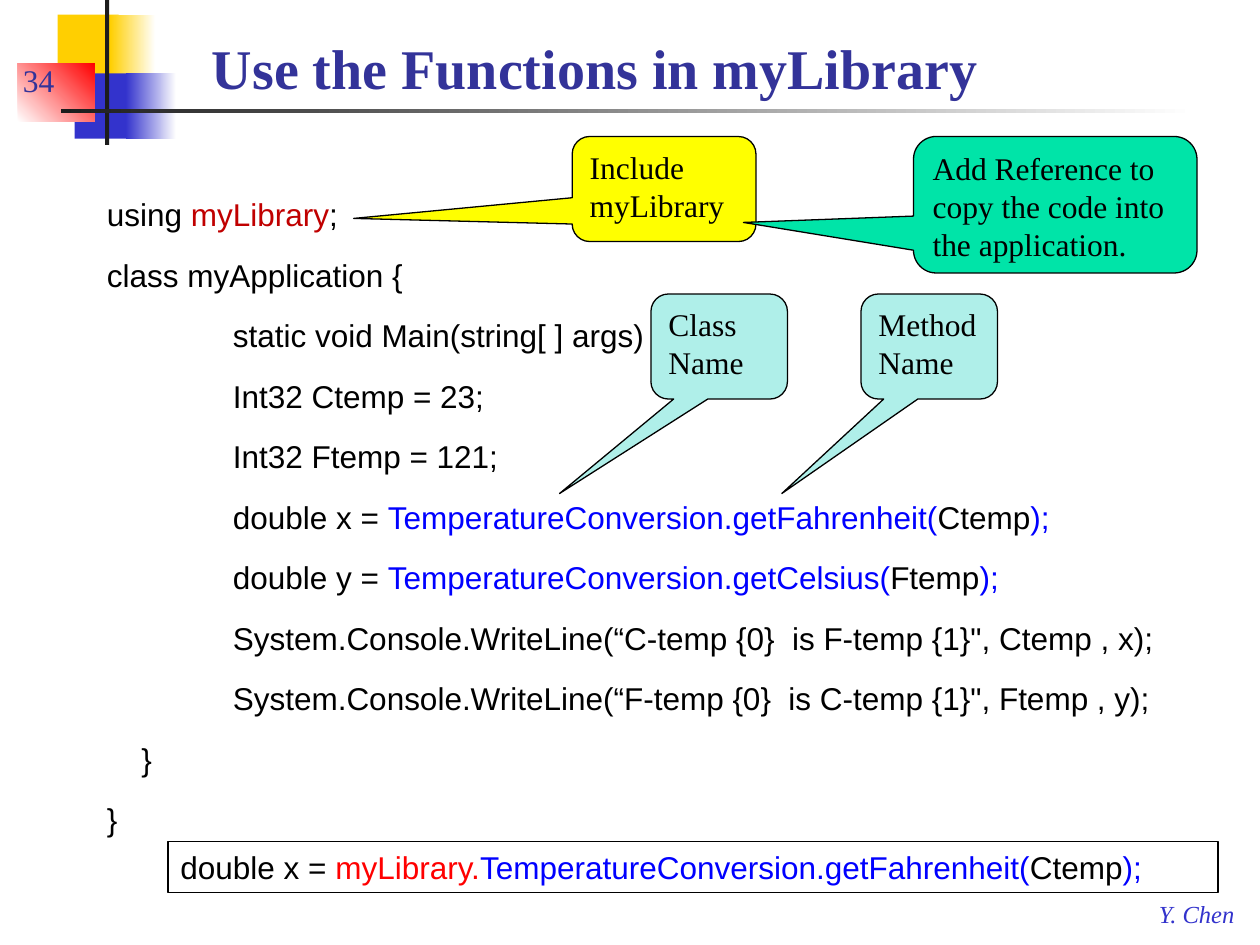
import pptx
import pptx.util
import pptx.dml.color
import pptx.enum.shapes
import pptx.enum.text

Pt = pptx.util.Pt
Kind = pptx.enum.shapes.MSO_SHAPE
Anchor = pptx.enum.text.MSO_ANCHOR
Align = pptx.enum.text.PP_ALIGN

SERIF, SANS = "Times New Roman", "Arial"
BLACK, WHITE, DARK = "000000", "FFFFFF", "1C1C1C"
GOLD, NAVY, RED, BLUE, TITLE = "FFCF01", "3333CC", "FF0000", "0000FF", "333399"
AQUA = "AFEFE9"


def color(text):
    return pptx.dml.color.RGBColor.from_string(text)


def cell(count):
    return pptx.util.Inches(count / 12)


class Page:
    def __init__(self):
        self.deck = pptx.Presentation()
        self.deck.slide_width = cell(120)
        self.deck.slide_height = cell(90)
        self.slide = self.deck.slides.add_slide(self.deck.slide_layouts[6])

    def shape(self, kind, place, fill=None, line=None):
        item = self.slide.shapes.add_shape(kind, *map(cell, place))
        item.shadow.inherit = False
        if fill:
            item.fill.solid()
            item.fill.fore_color.rgb = color(fill)
        else:
            item.fill.background()
        if line:
            item.line.color.rgb = color(line)
            item.line.width = Pt(0.75)
        else:
            item.line.fill.background()
        return item

    def fade(self, place, first, last, angle=0):
        item = self.shape(Kind.RECTANGLE, place)
        item.fill.gradient()
        item.fill.gradient_angle = angle
        for stop, tone, spot in zip(item.fill.gradient_stops, (first, last), (0, 1)):
            stop.color.rgb = color(tone)
            stop.position = spot

    def letter(self, item, lines, size=18, face=SERIF, tone=BLACK, bold=False,
               slant=False, gap=0, anchor=Anchor.TOP, wrap=True):
        frame = item.text_frame
        frame.word_wrap = wrap
        frame.vertical_anchor = anchor
        for index, (inset, runs) in enumerate(lines):
            para = frame.add_paragraph() if index else frame.paragraphs[0]
            para.alignment = Align.LEFT
            para.space_before = para.space_after = Pt(gap)
            para.font.size, para.font.name = Pt(size), face
            para.font.bold, para.font.italic = bold, slant
            para.font.color.rgb = color(tone)
            if inset:
                props = para._p.get_or_add_pPr()
                props.set("marL", str(cell(inset)))
                props.set("indent", "0")
            for words, hue in runs:
                run = para.add_run()
                run.text = words
                if hue != tone:
                    run.font.color.rgb = color(hue)

    def text(self, place, lines, **style):
        box = self.slide.shapes.add_textbox(*map(cell, place))
        self.letter(box, lines, **style)

    def label(self, place, words, tone, **style):
        self.text(place, [(0, [(words, tone)])], tone=tone, **style)

    def callout(self, place, tip, fill, words):
        item = self.shape(Kind.ROUNDED_RECTANGULAR_CALLOUT, place, fill, BLACK)
        item.adjustments[0], item.adjustments[1] = tip
        self.letter(item, [(0, [(words, BLACK)])])


def call(name, value, prefix=""):
    runs = [("double " + name + " = ", BLACK)]
    if prefix:
        runs.append((prefix, RED))
    method = "getFahrenheit(" if value == "Ctemp" else "getCelsius("
    return runs + [("TemperatureConversion." + method, BLUE), (value, BLACK), (");", BLUE)]


def plain(words):
    return [(words, BLACK)]


page = Page()

page.shape(Kind.RECTANGLE, (5.5, 1.4, 5.8, 6.2), GOLD)
page.fade((10.5, 1.4, 4.3, 6.2), GOLD, WHITE)
page.shape(Kind.RECTANGLE, (7.1, 7, 5.5, 6.2), NAVY)
page.fade((12, 7, 4.8, 6.2), NAVY, WHITE)
page.fade((1.7, 6, 7.3, 5.6), WHITE, RED, 45)
page.shape(Kind.RECTANGLE, (10, 0, 0.4, 13.8), DARK)
page.fade((5.8, 10.35, 108, 0.4), DARK, WHITE)

page.label((109.2, 85, 9.8, 4), "Y. Chen", NAVY, size=14, slant=True, wrap=False)
page.label((19, 2, 100, 8.2), "Use the Functions in myLibrary", TITLE,
           size=32, bold=True, anchor=Anchor.BOTTOM)

code = [
    (0, [("using ", BLACK), ("myLibrary", "C00000"), (";", BLACK)]),
    (0, plain("class myApplication {")),
    (12, plain("static void Main(string[ ] args)  {")),
    (12, plain("Int32 Ctemp = 23;")),
    (12, plain("Int32 Ftemp = 121;")),
    (12, call("x", "Ctemp")),
    (12, call("y", "Ftemp")),
    (12, plain("System.Console.WriteLine(“C-temp {0}  is F-temp {1}\", Ctemp , x);")),
    (12, plain("System.Console.WriteLine(“F-temp {0}  is C-temp {1}\", Ftemp , y);")),
    (3.3, plain("}")),
    (0, plain("}")),
]
page.text((9, 18, 103, 63), code, face=SANS, gap=6.5)
page.label((1, 4, 9, 6), "34", TITLE, anchor=Anchor.BOTTOM)

for place, tip, fill, words in [
    ((62, 28, 13, 10), (-1.17, 1.4), AQUA, "Class Name"),
    ((82, 28, 13, 10), (-1.08, 1.4), AQUA, "Method Name"),
    ((54.5, 13, 17.5, 10), (-1.69, 0.28), "FFFF00", "Include myLibrary"),
    ((87, 13, 27, 13), (-1.1, 0.13), "00E4A8",
     "Add Reference to copy the code into the application."),
]:
    page.callout(place, tip, fill, words)

full = page.shape(Kind.RECTANGLE, (16, 80.15, 100, 4.85), line=BLACK)
page.letter(full, [(0, call("x", "Ctemp", "myLibrary."))], face=SANS)

page.deck.save("out.pptx")
